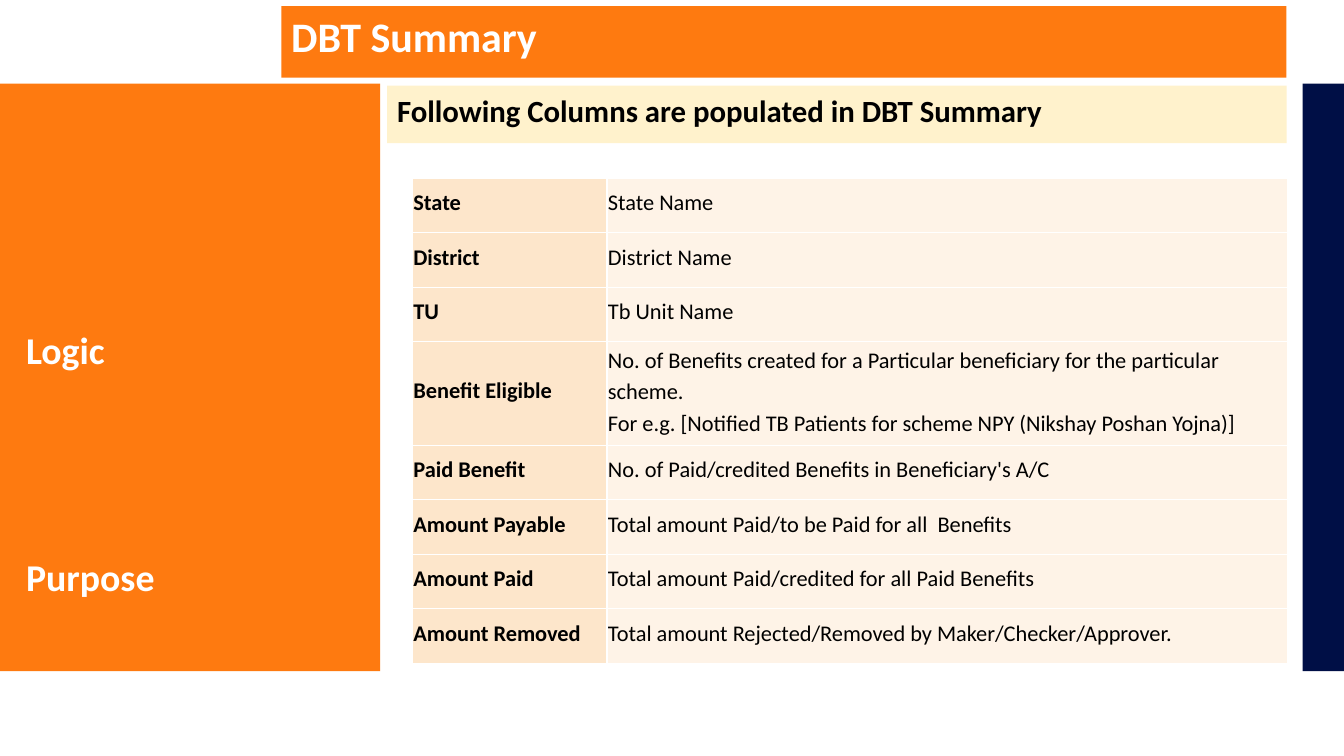
from dataclasses import dataclass

from lxml import etree
from pptx import Presentation
from pptx.dml.color import RGBColor
from pptx.enum.shapes import MSO_SHAPE
from pptx.enum.text import MSO_ANCHOR, PP_ALIGN
from pptx.oxml.ns import qn
from pptx.shapes.base import BaseShape
from pptx.slide import Slide
from pptx.table import _Cell
from pptx.text.text import TextFrame, _Paragraph
from pptx.util import Inches, Pt

RECT = MSO_SHAPE.RECTANGLE
TOP, MIDDLE = MSO_ANCHOR.TOP, MSO_ANCHOR.MIDDLE
LEFT, JUSTIFY = PP_ALIGN.LEFT, PP_ALIGN.JUSTIFY
FONT = "Calibri"
COLORS = {
    "orange": "FE7A10",
    "navy": "000F46",
    "cream": "FFF2CC",
    "peach": "FDE6CB",
    "pale": "FEF3E7",
    "white": "FFFFFF",
    "black": "000000",
}


@dataclass
class Bar:
    left: float
    top: float
    width: float
    height: float
    fill: str
    text: str = ""
    size: int = 18
    color: str = "white"
    align: PP_ALIGN = LEFT


@dataclass
class Field:
    name: str
    lines: list[str]
    height: float = 0.54


BARS = [
    Bar(0, 0.83, 3.77, 5.83, "orange"),
    Bar(12.92, 0.83, 0.41, 5.83, "navy"),
    Bar(2.79, 0.06, 9.97, 0.71, "orange", "DBT Summary", 30),
    Bar(3.84, 0.85, 8.92, 0.57, "cream",
        "Following Columns are populated in DBT Summary", 22, "black", JUSTIFY),
]
FIELDS = [
    Field("State", ["State Name"]),
    Field("District", ["District Name"]),
    Field("TU", ["Tb Unit Name"]),
    Field("Benefit Eligible", [
        "No. of Benefits created for a Particular beneficiary for the particular scheme.",
        "For e.g. [Notified TB Patients for scheme NPY (Nikshay Poshan Yojna)]",
    ], 1.03),
    Field("Paid Benefit", ["No. of Paid/credited Benefits in Beneficiary's A/C"]),
    Field("Amount Payable", ["Total amount Paid/to be Paid for all  Benefits"]),
    Field("Amount Paid", ["Total amount Paid/credited for all Paid Benefits"]),
    Field("Amount Removed", ["Total amount Rejected/Removed by Maker/Checker/Approver."]),
]
COLS = [1.93, 6.75]


def shade(name: str) -> RGBColor:
    return RGBColor.from_string(COLORS[name])


def write(frame: TextFrame, lines: list[str], size: int, color: str,
          bold: bool, space: float, align: PP_ALIGN = LEFT) -> list[_Paragraph]:
    """Fill a frame with one paragraph per line and return the paragraphs."""
    frame.word_wrap = True
    frame.text = "\n".join(lines)
    for para in frame.paragraphs:
        para.alignment = align
        para.line_spacing = space
        font = para.font
        font.name, font.size, font.bold = FONT, Pt(size), bold
        font.color.rgb = shade(color)
    return list(frame.paragraphs)


def inset(frame: TextFrame) -> None:
    frame.margin_left = frame.margin_right = Inches(0.1)
    frame.margin_top = frame.margin_bottom = Inches(0.1)
    frame.vertical_anchor = TOP


def add_bar(slide: Slide, bar: Bar) -> BaseShape:
    shape = slide.shapes.add_shape(
        RECT, Inches(bar.left), Inches(bar.top), Inches(bar.width), Inches(bar.height))
    shape.shadow.inherit = False
    shape.fill.solid()
    shape.fill.fore_color.rgb = shade(bar.fill)
    shape.line.fill.background()
    if bar.text:
        inset(shape.text_frame)
        write(shape.text_frame, [bar.text], bar.size, bar.color, True, 0.9, bar.align)
    return shape


def add_side(slide: Slide) -> None:
    """Add the headings on the left panel."""
    box = slide.shapes.add_textbox(Inches(0.16), Inches(3.14), Inches(3.41), Inches(2.93))
    inset(box.text_frame)
    paras = write(box.text_frame, ["Logic", "Purpose"], 27, "white", True, 1.0)
    paras[1].space_before = Pt(130)


def edge(cell: _Cell) -> None:
    """Draw thin white borders; they must come before the fill."""
    props = cell._tc.get_or_add_tcPr()
    for tag in ("a:lnL", "a:lnR", "a:lnT", "a:lnB"):
        line = etree.SubElement(props, qn(tag), w=str(Pt(0.94)))
        fill = etree.SubElement(line, qn("a:solidFill"))
        etree.SubElement(fill, qn("a:srgbClr"), val=COLORS["white"])


def fill_cell(cell: _Cell, lines: list[str], fill: str, bold: bool) -> None:
    edge(cell)
    cell.fill.solid()
    cell.fill.fore_color.rgb = shade(fill)
    cell.margin_left = cell.margin_right = cell.margin_top = Inches(0.01)
    cell.margin_bottom = Inches(0.1)
    cell.vertical_anchor = MIDDLE
    write(cell.text_frame, lines, 16, "black", bold, 1.15)


def add_grid(slide: Slide) -> None:
    height = sum(field.height for field in FIELDS)
    table = slide.shapes.add_table(
        len(FIELDS), len(COLS), Inches(4.09), Inches(1.77),
        Inches(sum(COLS)), Inches(height)).table
    table.first_row = table.horz_banding = False
    for col, width in zip(table.columns, COLS):
        col.width = Inches(width)
    for i, field in enumerate(FIELDS):
        table.rows[i].height = Inches(field.height)
        fill_cell(table.cell(i, 0), [field.name], "peach", True)
        fill_cell(table.cell(i, 1), field.lines, "pale", False)


def main() -> None:
    deck = Presentation()
    deck.slide_width, deck.slide_height = Inches(13.33), Inches(7.5)
    slide = deck.slides.add_slide(deck.slide_layouts[6])
    for bar in BARS:
        add_bar(slide, bar)
    add_side(slide)
    add_grid(slide)
    deck.save("out.pptx")


if __name__ == "__main__":
    main()
